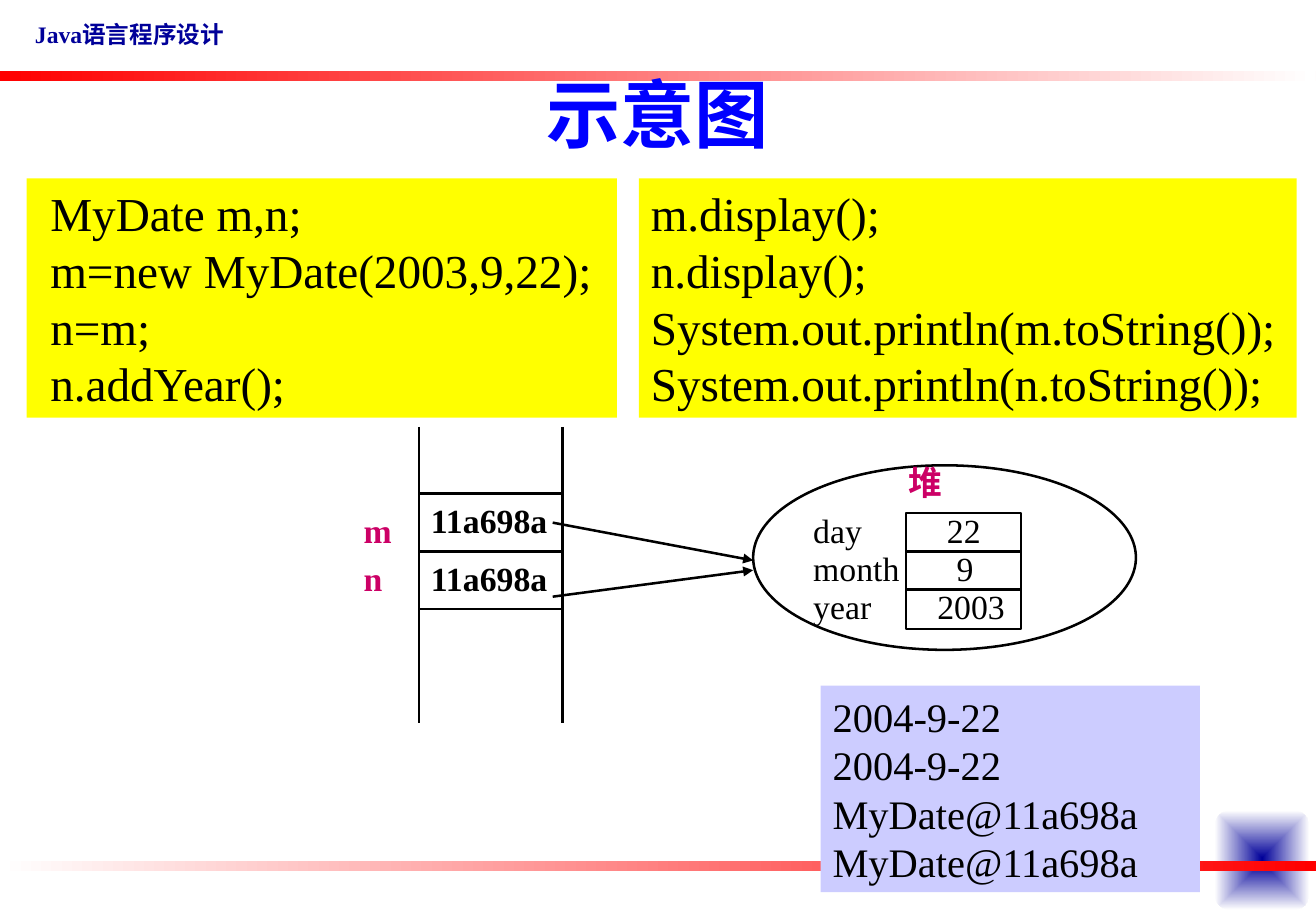
from lxml import etree
from pptx import Presentation
from pptx.dml.color import RGBColor
from pptx.enum import shapes, text
from pptx.oxml import ns
from pptx.util import Pt

BLACK = RGBColor(0, 0, 0)
WHITE = RGBColor(255, 255, 255)
RED = RGBColor(255, 0, 0)
BLUE = RGBColor(0, 0, 255)
NAVY = RGBColor(0, 0, 0x99)
MAGENTA = RGBColor(0xCC, 0, 0x66)
YELLOW = RGBColor(255, 255, 0)
LILAC = RGBColor(0xCC, 0xCC, 255)
SERIF = "Times New Roman"
SANS_CJK = "Noto Sans CJK SC"
TOP = text.MSO_ANCHOR.TOP
MIDDLE = text.MSO_ANCHOR.MIDDLE
AUTO = shapes.MSO_AUTO_SHAPE_TYPE


def write(tf, lines, size, color, bold=False, face=SERIF, align=text.PP_ALIGN.LEFT, anchor=TOP):
    tf.word_wrap = True
    tf.auto_size = text.MSO_AUTO_SIZE.NONE
    tf.vertical_anchor = anchor
    tf.text = "\n".join(lines)
    for p in tf.paragraphs:
        p.alignment = align
        f = p.font
        f.size, f.bold, f.name = Pt(size), bold, face
        f.color.rgb = color
        latin = p._p.pPr.find(ns.qn("a:defRPr")).find(ns.qn("a:latin"))
        latin.addnext(etree.Element(ns.qn("a:ea"), typeface=SANS_CJK))


def add_shape(slide, kind, x, y, w, h, fill=None, outlined=False):
    sp = slide.shapes.add_shape(kind, Pt(x), Pt(y), Pt(w), Pt(h))
    sp.shadow.inherit = False
    if fill is not None:
        sp.fill.solid()
        sp.fill.fore_color.rgb = fill
    if outlined:
        sp.line.color.rgb = BLACK
        sp.line.width = Pt(1.5)
    else:
        sp.line.fill.background()
    return sp


def set_gradient(sp, start, end):
    sp.fill.gradient()
    sp.fill.gradient_angle = 0
    for stop, color, position in zip(sp.fill.gradient_stops, (start, end), (0, 1)):
        stop.color.rgb = color
        stop.position = position


def make_radial(sp):
    """Turn a linear gradient into one that spreads from the centre."""
    lin = sp._element.spPr.find(ns.qn("a:gradFill")).find(ns.qn("a:lin"))
    radial = etree.Element(ns.qn("a:path"))
    radial.set("path", "rect")
    etree.SubElement(radial, ns.qn("a:fillToRect"), l="50000", t="50000", r="50000", b="50000")
    lin.getparent().replace(lin, radial)


def add_label(slide, x, y, w, h, words, color=BLACK, bold=False, size=20):
    box = slide.shapes.add_textbox(Pt(x), Pt(y), Pt(w), Pt(h))
    write(box.text_frame, [words], size, color, bold)


def add_panel(slide, x, y, w, h, fill, lines, size, anchor):
    sp = add_shape(slide, AUTO.RECTANGLE, x, y, w, h, fill)
    write(sp.text_frame, lines, size, BLACK, anchor=anchor)


def add_line(slide, x1, y1, x2, y2, arrow=False):
    line = slide.shapes.add_connector(shapes.MSO_CONNECTOR.STRAIGHT,
                                      Pt(x1), Pt(y1), Pt(x2), Pt(y2))
    line.line.color.rgb = BLACK
    line.line.width = Pt(1.5)
    if arrow:
        etree.SubElement(line.line._get_or_add_ln(), ns.qn("a:tailEnd"), type="triangle")
    etree.SubElement(line._element.spPr, ns.qn("a:effectLst"))


def add_frame(slide, width):
    """Header, red bars and corner ornament."""
    corner = add_shape(slide, AUTO.ROUNDED_RECTANGLE, 720.4, 480.4, 56.2, 59)
    set_gradient(corner, NAVY, WHITE)
    make_radial(corner)
    add_shape(slide, AUTO.RECTANGLE, 5.8, 5, 218.9, 38.2, WHITE)
    add_label(slide, 13.7, 8.2, 144, 24.5, "Java语言程序设计", NAVY, True, 14)
    for y, start, end in ((42, RED, WHITE), (510.3, WHITE, RED)):
        set_gradient(add_shape(slide, AUTO.RECTANGLE, 0, y, width, 6), start, end)


def place_title(slide, words):
    title = slide.shapes.title
    title.left, title.top, title.width, title.height = Pt(38.9), Pt(21.9), Pt(702), Pt(90)
    write(title.text_frame, [words], 44, BLUE, True, SANS_CJK, text.PP_ALIGN.CENTER, MIDDLE)
    slide.shapes._spTree.append(title._element)


def add_stack(slide):
    left, right, top, row = 248.5, 333.5, 292.7, 34.1
    for x in (left, right):
        add_line(slide, x, 253, x, 428.7)
    for i in range(3):
        add_line(slide, left, top + i * row, right, top + i * row)
    for i, name in enumerate("mn"):
        add_label(slide, 208.6, 298.6 + i * 28.4, 27.4, 31, name, MAGENTA, True)
        add_label(slide, left, top + i * row, 90, 31, "11a698a", bold=True)


def add_heap(slide):
    add_shape(slide, AUTO.OVAL, 446.7, 275.8, 227, 109.4, WHITE, True)
    fields = (("day", "22", 554.5), ("month", "9", 560.2), ("year", "2003", 548.8))
    for i, (name, value, x) in enumerate(fields):
        y = 298.5 + i * 22.7
        add_shape(slide, AUTO.RECTANGLE, 537.4, y + 5.7, 68.2, 23.2, WHITE, True)
        add_label(slide, x, y, 62, 27.4, value)
        add_label(slide, 475.2, y, 90, 23, name)
    add_label(slide, 531.8, 270.4, 72, 78, "堆", MAGENTA, True)


def main():
    prs = Presentation()
    prs.slide_width, prs.slide_height = Pt(780.48), Pt(540)
    slide = prs.slides.add_slide(prs.slide_layouts[5])
    add_frame(slide, 780.3)
    place_title(slide, "示意图")
    add_stack(slide)
    add_heap(slide)
    for y1, y2 in ((309.8, 332.2), (353.7, 338)):
        add_line(slide, 327.8, y1, 446.7, y2, arrow=True)
    add_panel(slide, 15.8, 105.8, 350.2, 141.8, YELLOW,
              [" MyDate m,n;", " m=new MyDate(2003,9,22);", " n=m;", " n.addYear();"],
              28, TOP)
    add_panel(slide, 378.9, 105.8, 390.2, 141.8, YELLOW,
              ["m.display();", "n.display();", "System.out.println(m.toString());",
               "System.out.println(n.toString());"], 28, TOP)
    add_panel(slide, 486.7, 406.4, 224.9, 122.4, LILAC,
              ["2004-9-22", "2004-9-22", "MyDate@11a698a", "MyDate@11a698a"], 24, MIDDLE)
    prs.save("out.pptx")


if __name__ == "__main__":
    main()
